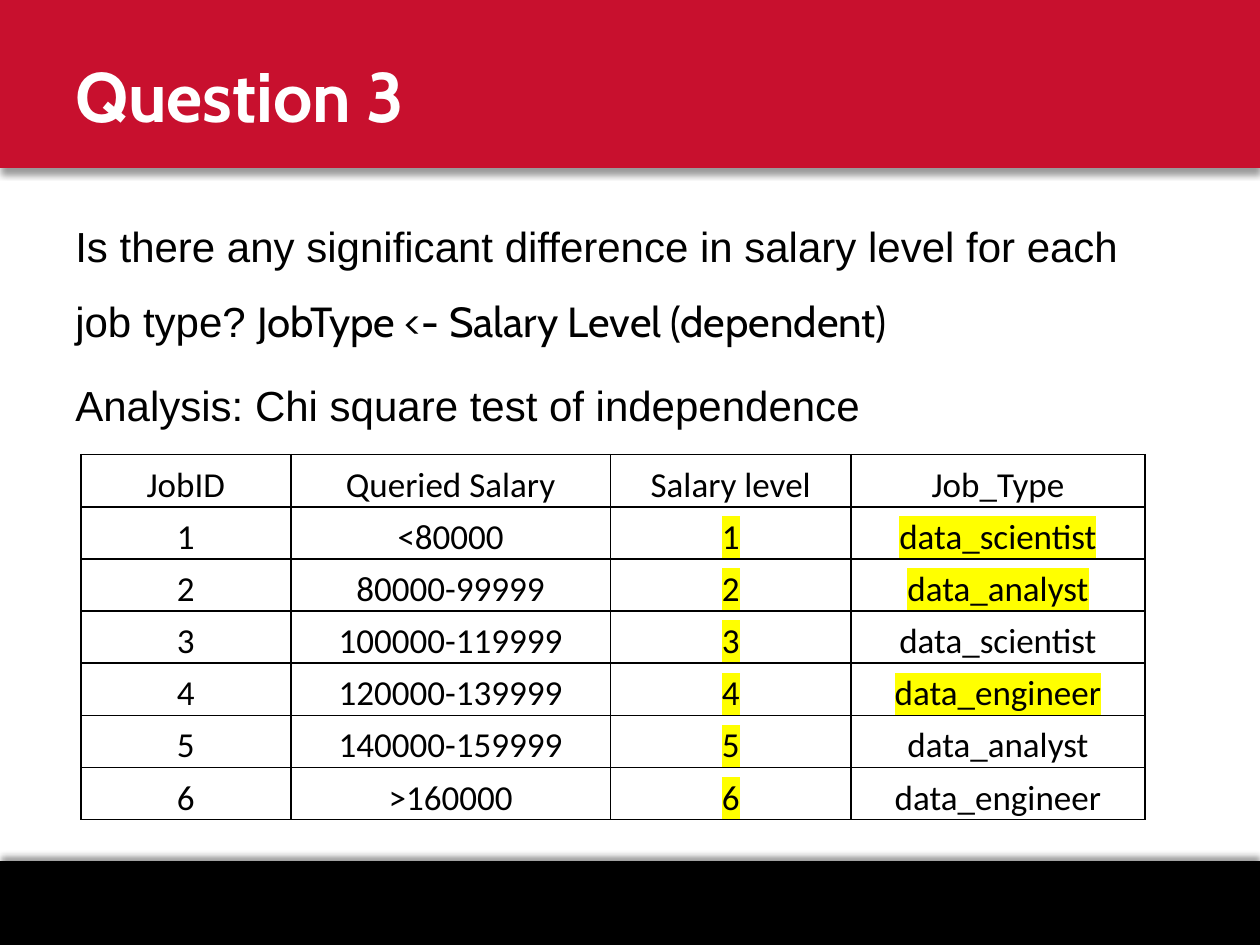
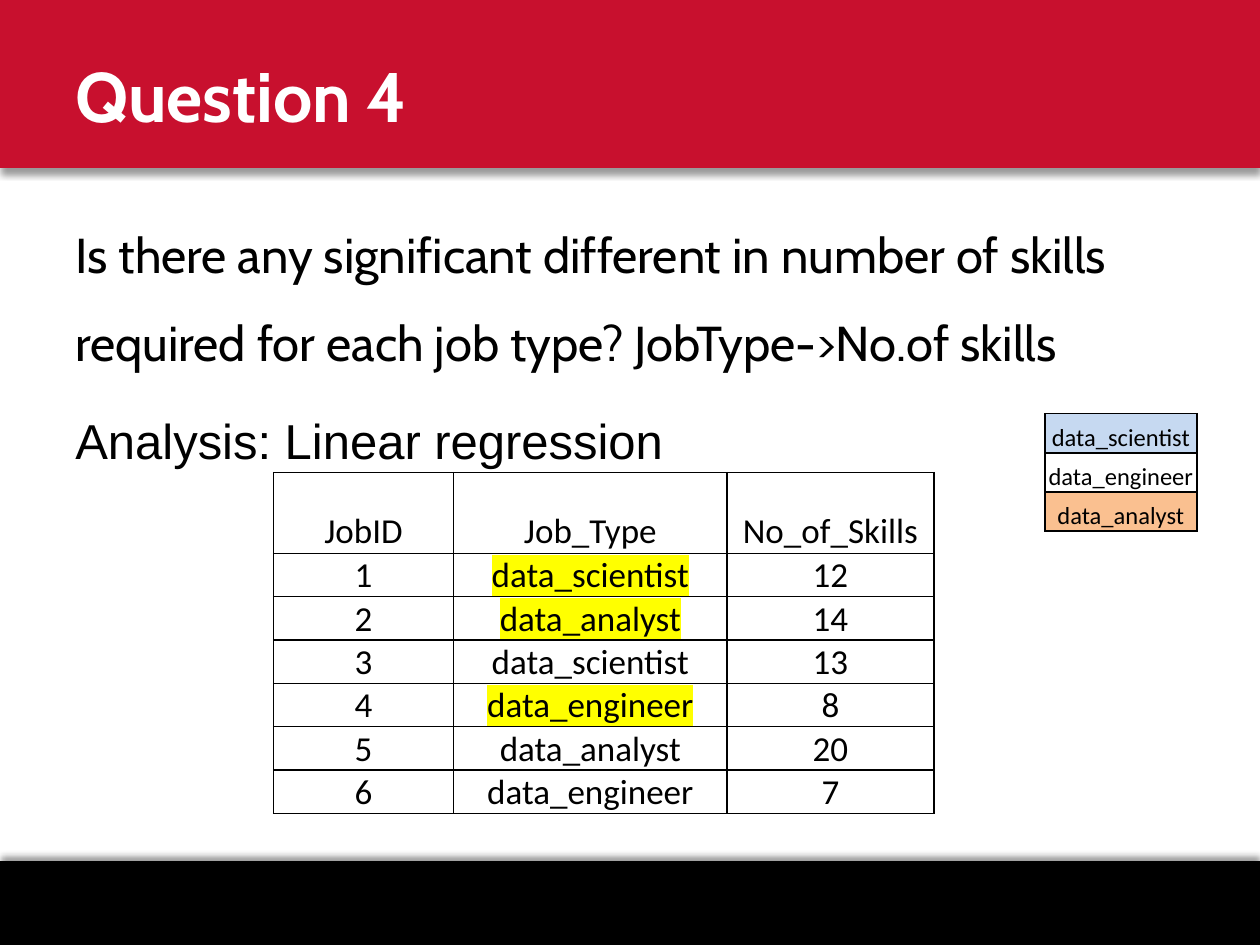
import pptx
import pptx.dml.color
import pptx.enum.text
import pptx.oxml
import pptx.oxml.ns
import pptx.util

BLACK, WHITE, RED, YELLOW = "000000", "FFFFFF", "C8102E", "FFFF00"
BLUE, ORANGE = "C6D9F1", "FAC090"
NS = pptx.oxml.ns.nsdecls("a")
MIDDLE = pptx.enum.text.MSO_ANCHOR.MIDDLE
BOTTOM = pptx.enum.text.MSO_ANCHOR.BOTTOM
CENTER = pptx.enum.text.PP_ALIGN.CENTER


def paint(fill, color):
    fill.solid()
    fill.fore_color.rgb = pptx.dml.color.RGBColor.from_string(color)


def write(paragraph, text, font="Calibri", size=20, color=BLACK, bold=False, highlight=None):
    run = paragraph.add_run()
    run.text = text
    run.font.name = font
    run.font.size = pptx.util.Pt(size)
    run.font.bold = bold
    paint(run.font.fill, color)
    if highlight:
        marker = pptx.oxml.parse_xml(f'<a:highlight {NS}><a:srgbClr val="{highlight}"/></a:highlight>')
        run.font.fill._xPr.find(pptx.oxml.ns.qn("a:solidFill")).addnext(marker)


deck = pptx.Presentation()
deck.slide_width = pptx.util.Inches(10)
deck.slide_height = pptx.util.Inches(7.5)
unit = deck.slide_width / 120

bands = [(82, 8, BLACK, 270), (0, 16, RED, 90)]
first_seen_columns = {"Salary level", "Job_Type"}
job_types = ["data_scientist", "data_analyst", "data_scientist",
             "data_engineer", "data_analyst", "data_engineer"]
salaries = ["<80000", "80000-99999", "100000-119999",
            "120000-139999", "140000-159999", ">160000"]
skill_counts = [12, 14, 13, 8, 20, 7]

salary_rows = [("JobID", "Queried Salary", "Salary level", "Job_Type")]
skill_rows = [("JobID", "Job_Type", "No_of_Skills")]
for job, (job_type, salary, skills) in enumerate(zip(job_types, salaries, skill_counts), 1):
    salary_rows.append((str(job), salary, str(job), job_type))
    skill_rows.append((str(job), job_type, str(skills)))

questions = [
    {
        "title": "Question 3",
        "size": 24,
        "body": [
            [("Is there any significant difference in salary level for each job type? ", "Arial"),
             ("JobType <- Salary Level (dependent)", "Cabin")],
            [("Analysis: Chi square test of independence", "Arial")],
        ],
        "tables": [
            {"rows": salary_rows, "left": 7.7, "top": 43.3, "size": 20,
             "widths": [20, 30.45, 22.9, 28], "header": 4.97, "height": 4.97, "fills": {}},
        ],
    },
    {
        "title": "Question 4",
        "size": 28,
        "body": [
            [("Is there any significant different in number of skills required for each "
              "job type? JobType->No.of skills", "Cabin")],
            [("Analysis: Linear regression", "Arial")],
        ],
        "tables": [
            {"rows": skill_rows, "left": 26.05, "top": 45, "size": 20,
             "widths": [17.15, 26.05, 19.7], "header": 7.7, "height": 4.13, "fills": {}},
            {"rows": [("data_scientist",), ("data_engineer",), ("data_analyst",)],
             "left": 99.5, "top": 39.4, "size": 14,
             "widths": [14.5], "header": 3.72, "height": 3.72,
             "fills": {"data_scientist": BLUE, "data_analyst": ORANGE}},
        ],
    },
]

for question in questions:
    slide = deck.slides.add_slide(deck.slide_layouts[6])

    for top, height, color, angle in bands:
        band = slide.shapes.add_shape(
            pptx.enum.shapes.MSO_SHAPE.RECTANGLE,
            0, int(top * unit), deck.slide_width, int(height * unit))
        paint(band.fill, color)
        band.line.fill.background()
        band.shadow.inherit = False
        band._element.spPr.find(pptx.oxml.ns.qn("a:effectLst")).append(pptx.oxml.parse_xml(
            f'<a:outerShdw {NS} blurRad="{pptx.util.Pt(4)}" dist="{pptx.util.Pt(3)}" '
            f'dir="{angle * 60000}" rotWithShape="0">'
            f'<a:srgbClr val="{BLACK}"><a:alpha val="40000"/></a:srgbClr></a:outerShdw>'))

    title = slide.shapes.add_textbox(*(int(n * unit) for n in (6, 2, 99, 14))).text_frame
    title.word_wrap = True
    title.vertical_anchor = MIDDLE
    write(title.paragraphs[0], question["title"], font="Cabin", size=40, color=WHITE, bold=True)

    body = slide.shapes.add_textbox(*(int(n * unit) for n in (6, 18, 103, 61))).text_frame
    body.word_wrap = True
    for index, pieces in enumerate(question["body"]):
        paragraph = body.add_paragraph() if index else body.paragraphs[0]
        paragraph.line_spacing = 1.5
        paragraph.space_before = pptx.util.Pt(question["size"] * 0.2)
        for text, font in pieces:
            write(paragraph, text, font=font, size=question["size"])

    for plan in question["tables"]:
        rows, widths = plan["rows"], plan["widths"]
        heights = [plan["header"]] + [plan["height"]] * (len(rows) - 1)
        grid = slide.shapes.add_table(
            len(rows), len(widths), int(plan["left"] * unit), int(plan["top"] * unit),
            int(sum(widths) * unit), int(sum(heights) * unit)).table
        grid.first_row = False
        grid.horz_banding = False
        for column, width in zip(grid.columns, widths):
            column.width = int(width * unit)
        for row, height in zip(grid.rows, heights):
            row.height = int(height * unit)

        seen = set()
        for r, values in enumerate(rows):
            for c, text in enumerate(values):
                cell = grid.cell(r, c)
                cell.vertical_anchor = BOTTOM
                cell.margin_left = cell.margin_right = cell.margin_top = pptx.util.Inches(0.01)
                cell.margin_bottom = 0
                if text in plan["fills"]:
                    paint(cell.fill, plan["fills"][text])
                else:
                    cell.fill.background()
                borders = cell._tc.get_or_add_tcPr()
                for position, side in enumerate(("lnL", "lnR", "lnT", "lnB")):
                    borders.insert(position, pptx.oxml.parse_xml(
                        f'<a:{side} {NS} w="{pptx.util.Pt(1)}"><a:solidFill>'
                        f'<a:srgbClr val="{BLACK}"/></a:solidFill></a:{side}>'))
                is_new = r > 0 and rows[0][c] in first_seen_columns and (c, text) not in seen
                seen.add((c, text))
                paragraph = cell.text_frame.paragraphs[0]
                paragraph.alignment = CENTER
                write(paragraph, text, size=plan["size"], highlight=YELLOW if is_new else None)

deck.save("out.pptx")
